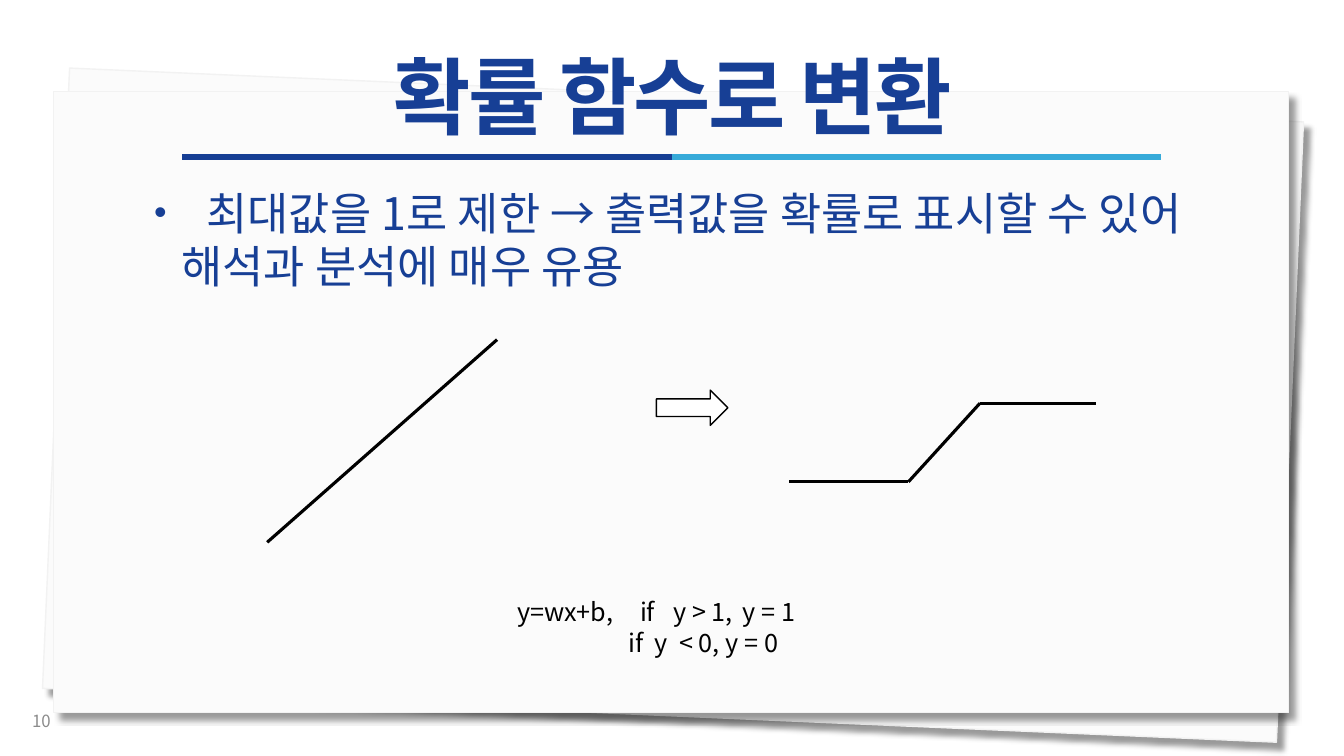
from typing import NamedTuple

from lxml import etree
from pptx import Presentation
from pptx.dml.color import RGBColor
from pptx.enum import shapes, text
from pptx.oxml import parse_xml
from pptx.oxml.ns import nsdecls, qn
from pptx.util import Inches, Pt

FONT = "Noto Sans CJK KR"
NAVY = RGBColor(0x16, 0x3E, 0x94)
HEADING_BLUE = RGBColor(0x17, 0x3F, 0x95)
SKY = RGBColor(0x36, 0xAA, 0xD9)
PAPER = RGBColor(0xFB, 0xFB, 0xFB)
PAPER_EDGE = RGBColor(0xF2, 0xF2, 0xF2)
GRAY = RGBColor(0x8C, 0x8C, 0x8C)
BLACK = RGBColor(0, 0, 0)
WHITE = RGBColor(0xFF, 0xFF, 0xFF)


class Box(NamedTuple):
    left: float
    top: float
    width: float
    height: float


class Sheet(NamedTuple):
    box: Box
    rotation: float


class Segment(NamedTuple):
    start: tuple[float, float]
    end: tuple[float, float]
    color: RGBColor = BLACK
    weight: float = 2.25


SHEETS = [
    Sheet(Box(0.55, 0.94, 12.25, 6.16), 2.5),
    Sheet(Box(0.53, 0.91, 12.25, 6.16), 0),
]
TITLE_RULE = [
    Segment((1.81, 1.56), (6.67, 1.56), NAVY, 4.5),
    Segment((6.67, 1.56), (11.52, 1.56), SKY, 4.5),
]
LINEAR_FUNCTION = [Segment((2.65, 5.38), (4.93, 3.37))]
CLIPPED_POINTS = [(7.83, 4.78), (9.01, 4.78), (9.72, 4), (10.87, 4)]
CLIPPED_FUNCTION = [Segment(a, b) for a, b in zip(CLIPPED_POINTS, CLIPPED_POINTS[1:])]


def add_block(slide, kind, box: Box, fill: RGBColor, edge: RGBColor):
    """Add a filled preset shape with a 1 pt outline and no shadow."""
    block = slide.shapes.add_shape(kind, *map(Inches, box))
    block.shadow.inherit = False
    block.fill.solid()
    block.fill.fore_color.rgb = fill
    block.line.color.rgb = edge
    block.line.width = Pt(1)
    return block


def add_sheet(slide, sheet: Sheet) -> None:
    paper = add_block(slide, shapes.MSO_SHAPE.RECTANGLE, sheet.box, PAPER, PAPER_EDGE)
    paper.rotation = sheet.rotation
    effects = paper._element.spPr.find(qn("a:effectLst"))
    effects.append(parse_xml(
        f'<a:outerShdw {nsdecls("a")} blurRad="{Pt(4)}" dist="{Pt(7)}" dir="2700000" '
        'algn="tl" rotWithShape="0"><a:srgbClr val="000000"><a:alpha val="40000"/>'
        '</a:srgbClr></a:outerShdw>'))


def add_segment(slide, segment: Segment) -> None:
    line = slide.shapes.add_connector(
        shapes.MSO_CONNECTOR.STRAIGHT, *map(Inches, segment.start + segment.end))
    line.line.color.rgb = segment.color
    line.line.width = Pt(segment.weight)
    etree.SubElement(line._element.spPr, qn("a:effectLst"))


def add_text(slide, box: Box, lines: list[str], *, size: float, color: RGBColor,
             bold: bool = False, align=text.PP_ALIGN.LEFT,
             anchor=text.MSO_ANCHOR.TOP, tabs: list[list[float]] | None = None):
    """Add a wrapped text box, one paragraph per line, with tab stops per line."""
    frame = slide.shapes.add_textbox(*map(Inches, box)).text_frame
    frame.word_wrap = True
    frame.vertical_anchor = anchor
    for index, words in enumerate(lines):
        paragraph = frame.paragraphs[0] if index == 0 else frame.add_paragraph()
        paragraph.alignment = align
        if tabs:
            add_tabs(paragraph, tabs[index])
        run = paragraph.add_run()
        run.text = words
        run.font.size = Pt(size)
        run.font.bold = bold
        run.font.color.rgb = color
        run.font.name = FONT
        east_asian = etree.SubElement(run._r.rPr, qn("a:ea"))
        east_asian.set("typeface", FONT)
    return frame


def add_tabs(paragraph, stops: list[float]) -> None:
    tab_list = etree.SubElement(paragraph._p.get_or_add_pPr(), qn("a:tabLst"))
    for stop in stops:
        etree.SubElement(tab_list, qn("a:tab"), pos=str(Inches(stop)), algn="l")


def add_bullet(paragraph) -> None:
    properties = paragraph._p.get_or_add_pPr()
    properties.set("marL", str(Inches(0.29)))
    properties.set("indent", str(Inches(-0.27)))
    bullet = [parse_xml(f'<a:buSzPct {nsdecls("a")} val="80000"/>'),
              parse_xml(f'<a:buFont {nsdecls("a")} typeface="Arial"/>'),
              parse_xml(f'<a:buChar {nsdecls("a")} char="•"/>')]
    tab_list = properties.find(qn("a:tabLst"))
    for part in bullet:
        tab_list.addprevious(part)


def add_title(slide) -> None:
    frame = add_text(slide, Box(0, 0.56, 13.34, 0.9), ["확률 함수로 변환"], size=60,
                     color=HEADING_BLUE, bold=True, align=text.PP_ALIGN.CENTER,
                     anchor=text.MSO_ANCHOR.MIDDLE)
    heading = frame.paragraphs[0]
    heading.line_spacing = 0.9
    run_properties = heading.runs[0]._r.rPr
    run_properties.set("spc", "-190")
    run_properties.insert(0, parse_xml(
        f'<a:ln {nsdecls("a")} w="{Pt(2)}"><a:solidFill><a:srgbClr val="{WHITE}"/>'
        '</a:solidFill></a:ln>'))


def main() -> None:
    deck = Presentation()
    deck.slide_width, deck.slide_height = Inches(13.33), Inches(7.5)
    slide = deck.slides.add_slide(deck.slide_layouts[6])

    for sheet in SHEETS:
        add_sheet(slide, sheet)
    for segment in TITLE_RULE:
        add_segment(slide, segment)
    add_title(slide)
    add_text(slide, Box(0.22, 6.95, 3, 0.4), ["10"], size=12, color=GRAY,
             anchor=text.MSO_ANCHOR.MIDDLE)

    summary = add_text(
        slide, Box(1.41, 1.79, 10.59, 0.64),
        ["\t최대값을 1로 제한 → 출력값을 확률로 표시할 수 있어 해석과 분석에 매우 유용"],
        size=32, color=HEADING_BLUE, tabs=[[0.54]])
    add_bullet(summary.paragraphs[0])
    summary.paragraphs[0].space_after = Pt(18)

    for segment in LINEAR_FUNCTION + CLIPPED_FUNCTION:
        add_segment(slide, segment)
    add_text(slide, Box(5.03, 5.87, 6.02, 0.71),
             ["y=wx+b,\tif\ty > 1,\ty = 1", "\tif\ty\t< 0, y = 0"],
             size=18, color=BLACK, tabs=[[1.22, 1.55, 2.24], [1.11, 1.36, 1.61]])
    add_block(slide, shapes.MSO_SHAPE.RIGHT_ARROW, Box(6.51, 3.87, 0.71, 0.35),
              WHITE, BLACK)

    deck.save("out.pptx")


if __name__ == "__main__":
    main()
